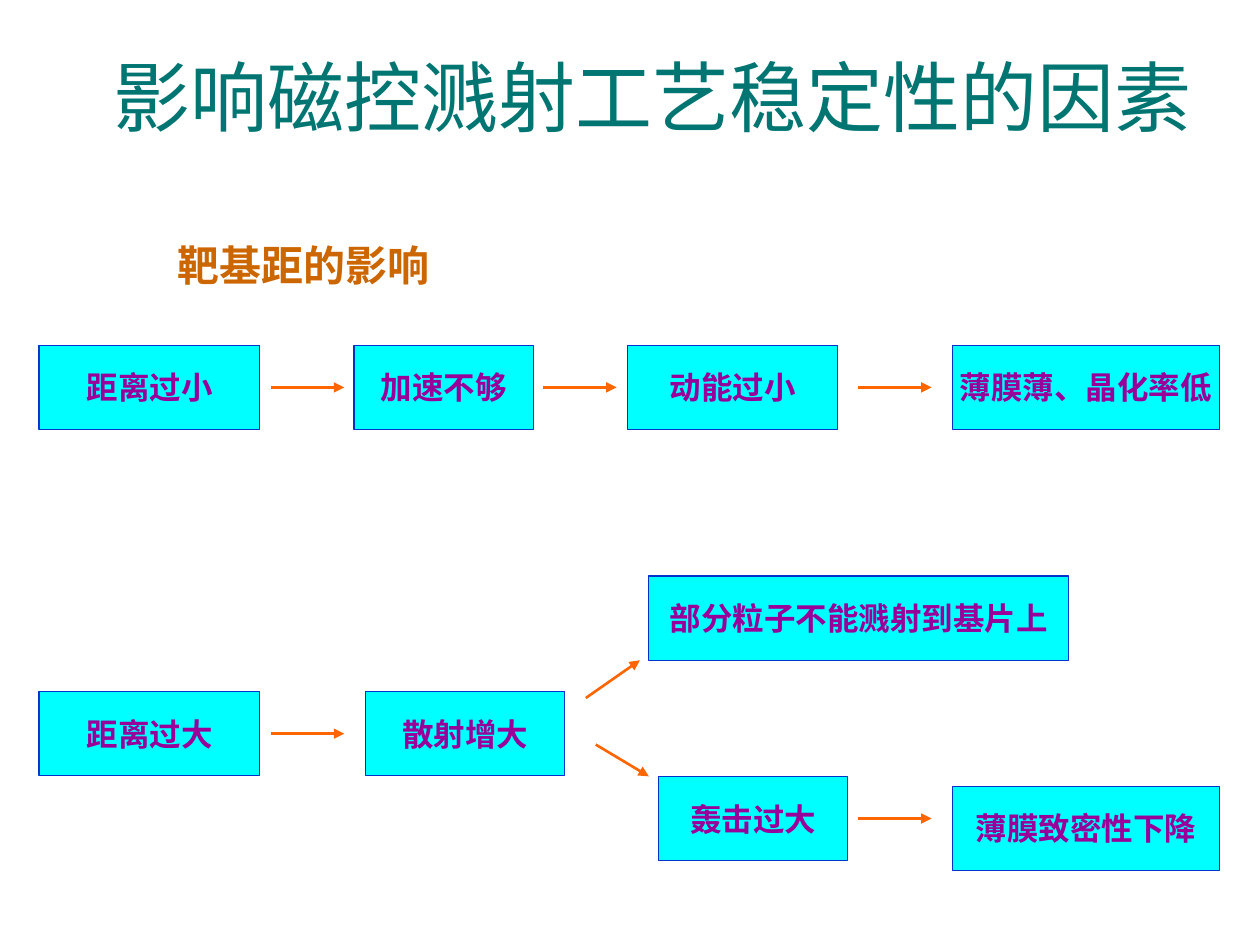
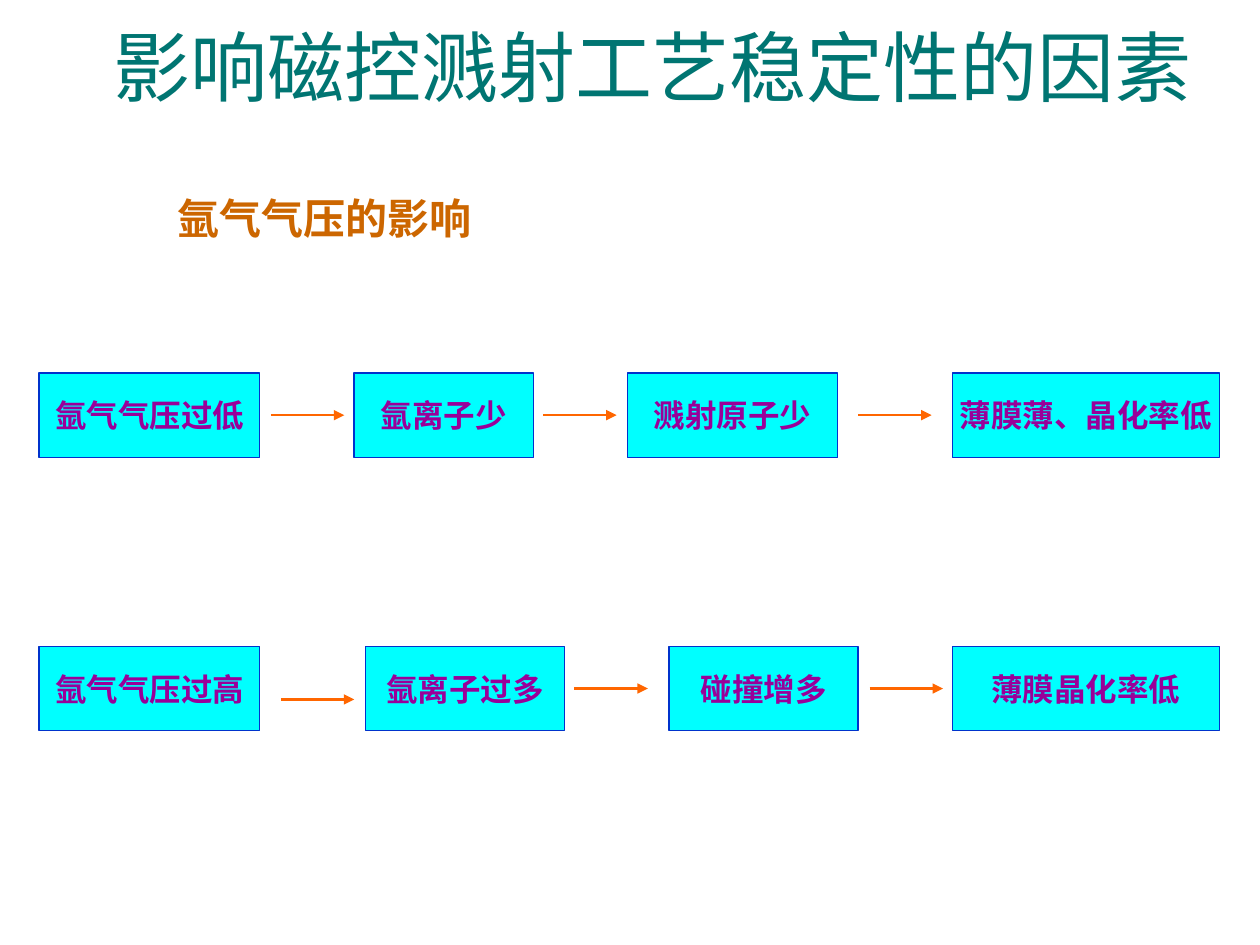
from lxml import etree
from pptx import Presentation, util as u
from pptx.dml.color import RGBColor
from pptx.enum import shapes, text
from pptx.oxml.ns import qn

TEAL = RGBColor(0x00, 0x75, 0x72)
OCHRE = RGBColor(0xCC, 0x66, 0x00)
CYAN = RGBColor(0x00, 0xFF, 0xFF)
BLUE = RGBColor(0x00, 0x33, 0xCC)
PURPLE = RGBColor(0x99, 0x00, 0x99)
ORANGE = RGBColor(0xFF, 0x66, 0x00)

TITLE = "影响磁控溅射工艺稳定性的因素"
BOX_HEIGHT = 1.7
ARROW_LENGTH = 1.48

# Left edge and width of each column, in cm
CAUSE = (0.79, 4.45)
RESULT = (19.2, 5.38)
SECOND_STEP = (7.37, 4.01)
LOW_CHAIN = (CAUSE, (7.14, 3.61), (12.65, 4.24), RESULT)
LOW_ARROWS = (5.46, 10.95, 17.3)
HIGH_CHAIN = (CAUSE, SECOND_STEP, (13.49, 3.81), RESULT)


def style_font(paragraph, name, size, color, bold=False):
    font = paragraph.font
    font.name, font.size, font.bold = name, u.Pt(size), bold
    font.color.rgb = color


def add_titled_slide(deck, title_height):
    page = deck.slides.add_slide(deck.slide_layouts[5])
    title = page.shapes.title
    title.left, title.top = u.Cm(0.84), u.Cm(0.64)
    title.width, title.height = u.Cm(23.65), u.Cm(title_height)
    frame = title.text_frame
    frame.text = TITLE
    frame.auto_size = text.MSO_AUTO_SIZE.NONE
    frame.vertical_anchor = text.MSO_ANCHOR.BOTTOM
    frame.margin_left = u.Cm(1.27)
    para = frame.paragraphs[0]
    para.alignment = text.PP_ALIGN.CENTER
    style_font(para, "Times New Roman", 44, TEAL)
    return page


def add_subheading(page, words, top):
    box = page.shapes.add_textbox(u.Cm(3.33), u.Cm(top), u.Cm(20.55), u.Cm(1.5))
    frame = box.text_frame
    frame.text = words
    frame.word_wrap = True
    frame.vertical_anchor = text.MSO_ANCHOR.MIDDLE
    style_font(frame.paragraphs[0], "Times New Roman", 24, OCHRE, bold=True)


def add_step(page, words, column, top):
    left, width = column
    box = page.shapes.add_shape(shapes.MSO_SHAPE.RECTANGLE, u.Cm(left), u.Cm(top),
                                u.Cm(width), u.Cm(BOX_HEIGHT))
    box.shadow.inherit = False
    box.fill.solid()
    box.fill.fore_color.rgb = CYAN
    box.line.color.rgb = BLUE
    box.line.width = u.Pt(0.75)
    frame = box.text_frame
    frame.text = words
    frame.word_wrap = False
    frame.vertical_anchor = text.MSO_ANCHOR.MIDDLE
    para = frame.paragraphs[0]
    para.alignment = text.PP_ALIGN.CENTER
    style_font(para, "Arial", 18, PURPLE, bold=True)


def add_arrow(page, start, end):
    points = [u.Cm(value) for value in (*start, *end)]
    arrow = page.shapes.add_connector(shapes.MSO_CONNECTOR.STRAIGHT, *points)
    arrow.line.color.rgb = ORANGE
    arrow.line.width = u.Pt(1.5)
    etree.SubElement(arrow.line._get_or_add_ln(), qn("a:tailEnd"), type="triangle")
    etree.SubElement(arrow._element.spPr, qn("a:effectLst"))


def add_level_arrow(page, left, y):
    add_arrow(page, (left, y), (left + ARROW_LENGTH, y))


def add_chain(page, steps, columns, top, arrow_lefts):
    """A row of boxes with level arrows at half their height."""
    for words, column in zip(steps, columns):
        add_step(page, words, column, top)
    for left in arrow_lefts:
        add_level_arrow(page, left, top + BOX_HEIGHT / 2)


def add_distance_slide(deck):
    page = add_titled_slide(deck, 2.34)
    add_subheading(page, "靶基距的影响", 4.58)
    add_chain(page, ("距离过小", "加速不够", "动能过小", "薄膜薄、晶化率低"),
              LOW_CHAIN, 6.96, LOW_ARROWS)

    # Distance too large: the chain forks after scattering
    add_chain(page, ("距离过大", "散射增大"), (CAUSE, SECOND_STEP), 13.94, (5.46,))
    add_arrow(page, (11.81, 14.07), (12.9, 13.31))
    add_step(page, "部分粒子不能溅射到基片上", (13.08, 8.46), 11.61)
    add_arrow(page, (12.01, 15.01), (13.08, 15.65))
    add_chain(page, ("轰击过大",), ((13.28, 3.81),), 15.65, (17.3,))
    add_step(page, "薄膜致密性下降", RESULT, 15.85)


def add_pressure_slide(deck):
    page = add_titled_slide(deck, 1.75)
    add_subheading(page, "氩气气压的影响", 3.64)
    add_chain(page, ("氩气气压过低", "氩离子少", "溅射原子少", "薄膜薄、晶化率低"),
              LOW_CHAIN, 7.52, LOW_ARROWS)

    # Pressure too high: the first arrow sits a little lower
    add_chain(page, ("氩气气压过高", "氩离子过多", "碰撞增多", "薄膜晶化率低"),
              HIGH_CHAIN, 13.03, (11.58, 17.53))
    add_level_arrow(page, 5.66, 14.1)


def main():
    deck = Presentation()
    deck.slide_width, deck.slide_height = u.Cm(25.4), u.Cm(19.05)
    add_distance_slide(deck)
    add_pressure_slide(deck)
    deck.save("out.pptx")


if __name__ == "__main__":
    main()
